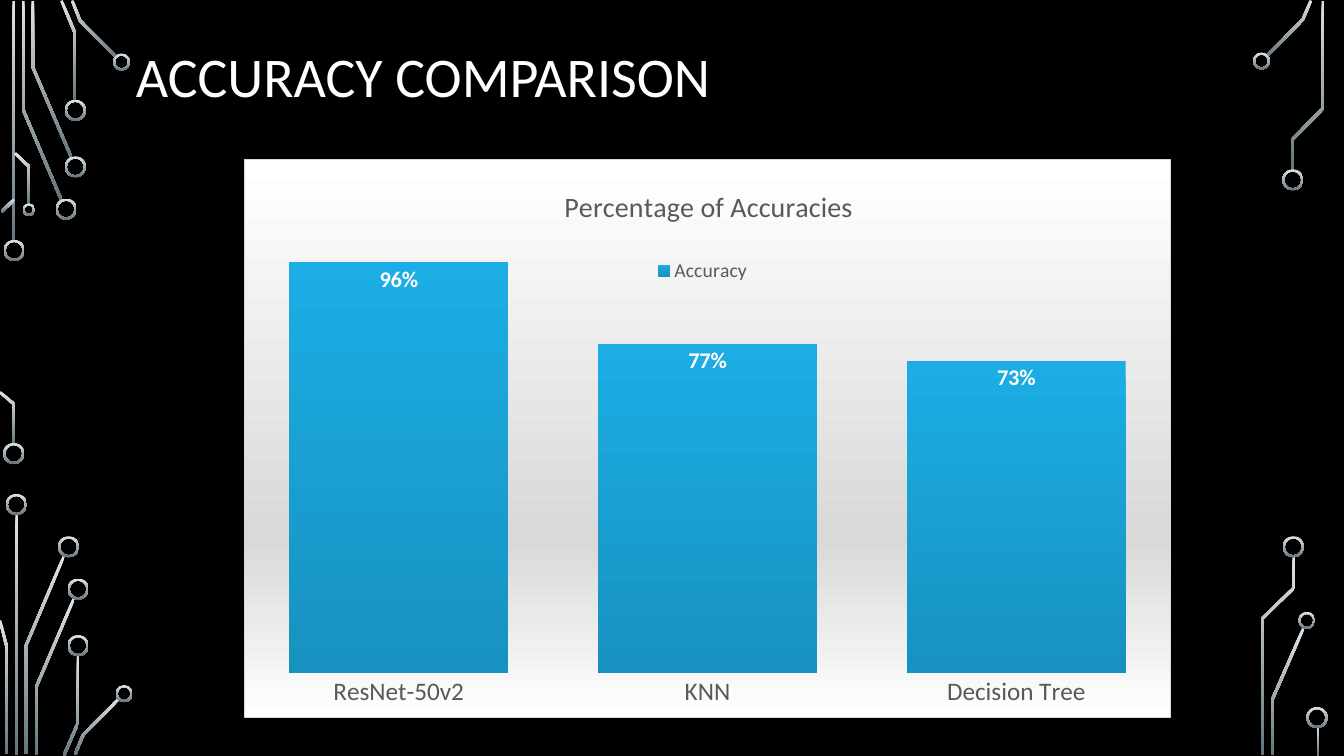
"""Build a slide comparing classifier accuracies between circuit-board ornaments."""
import math
from dataclasses import dataclass

import lxml.etree
import pptx
import pptx.chart.chart
import pptx.chart.data
import pptx.dml.color
import pptx.dml.fill
import pptx.enum.chart
import pptx.enum.shapes
import pptx.enum.text
import pptx.oxml
import pptx.oxml.ns
import pptx.shapes.autoshape
import pptx.slide
import pptx.util

COLORS = {
    "background": "000000",
    "white": "FFFFFF",
    "trace_light": "DFE3E5",
    "trace_dark": "65757D",
    "bar_top": "1CADE4",
    "bar_bottom": "1792C0",
    "chart_text": "595959",
    "chart_shade": "D9D9D9",
}
FONT = "Calibri"
TRACE_WIDTH = 1.9
RING_BAND = 1.44
Point = tuple[float, float]


@dataclass(frozen=True)
class Trace:
    bends: tuple[Point, ...]


@dataclass(frozen=True)
class Ring:
    x: float
    y: float
    diameter: float = 15.1


TRACES = (
    Trace(((9.7, 0.7), (9.7, 172.8))),
    Trace(((16.6, 0.7), (16.6, 78.5), (43.9, 142.9))),
    Trace(((23.4, 0.7), (23.4, 47.9), (51.1, 112.7))),
    Trace(((43.9, 0.4), (53.7, 23.8), (53.7, 72))),
    Trace(((51.5, 0.4), (57.2, 14.8), (83.2, 41))),
    Trace(((1.1, 151.2), (10.1, 142.6))),
    Trace(((0, 280.1), (10.1, 288.7), (10.1, 317.5))),
    Trace(((10.8, 109.4), (20.9, 119.2), (20.9, 146.2))),
    Trace(((11.9, 367.2), (11.9, 539.3))),
    Trace(((18.4, 538.6), (18.4, 461.5), (45.7, 397.1))),
    Trace(((4.7, 538.6), (4.7, 461.5), (0, 443.2))),
    Trace(((25.6, 539.3), (25.6, 491.4), (52.9, 427.3))),
    Trace(((45.7, 539.6), (55.8, 516.2), (55.8, 468))),
    Trace(((53.6, 538.9), (59.4, 524.9), (85, 499))),
    Trace(((936.4, 0.4), (930.6, 14), (905, 40))),
    Trace(((945, 0.7), (945, 77.4), (923, 99.7), (923, 121.7))),
    Trace(((909, 539.3), (909, 499.3), (931, 448.9))),
    Trace(((901.8, 539.3), (901.8, 441.7), (924.1, 420.1), (924.1, 397.4))),
    Trace(((941.4, 519.1), (941.4, 539.3))),
)
RINGS = (
    Ring(10.1, 178.9), Ring(9.8, 324), Ring(47.2, 149.4), Ring(53.8, 119.2),
    Ring(53.8, 78.8), Ring(86.8, 44.3, 12.2), Ring(20.6, 149.8, 9),
    Ring(11.7, 360.4), Ring(49, 390.6), Ring(55.8, 420.8), Ring(55.8, 461.2),
    Ring(88.7, 495.5, 12.2), Ring(901.1, 43.6, 12.2), Ring(923.4, 128.5),
    Ring(933.5, 443.2, 12.2), Ring(923.8, 390.6), Ring(940.7, 512.6),
)


def rgb(name: str) -> pptx.dml.color.RGBColor:
    """Return the named colour."""
    return pptx.dml.color.RGBColor.from_string(COLORS[name])


def shade(fill: pptx.dml.fill.FillFormat, top: str, bottom: str) -> None:
    """Fill with a gradient running downwards."""
    fill.gradient()
    fill.gradient_angle = 270
    for stop, name in zip(fill.gradient_stops, (top, bottom)):
        stop.color.rgb = rgb(name)


def style_ornament(ornament: pptx.shapes.autoshape.Shape) -> None:
    """Give an ornament its metallic look."""
    ornament.shadow.inherit = False
    ornament.line.fill.background()
    shade(ornament.fill, "trace_light", "trace_dark")


def trace_edge(bends: tuple[Point, ...]) -> list[Point]:
    """Return the mitred edge half a trace width beside the bends."""
    normals = []
    for (x1, y1), (x2, y2) in zip(bends, bends[1:]):
        length = math.hypot(x2 - x1, y2 - y1)
        normals.append(((y1 - y2) / length, (x2 - x1) / length))
    edge = []
    for (x, y), (ax, ay), (bx, by) in zip(bends, normals[:1] + normals, normals + normals[-1:]):
        reach = TRACE_WIDTH / 2 / (1 + ax * bx + ay * by)
        edge.append((x + (ax + bx) * reach, y + (ay + by) * reach))
    return edge


def draw_trace(slide: pptx.slide.Slide, trace: Trace) -> None:
    """Draw one circuit trace as a thin ribbon."""
    ribbon = trace_edge(trace.bends) + trace_edge(trace.bends[::-1])
    corners = [(pptx.util.Pt(x), pptx.util.Pt(y)) for x, y in ribbon]
    outline = slide.shapes.build_freeform(*corners[0], scale=1.0)
    outline.add_line_segments(corners[1:], close=True)
    style_ornament(outline.convert_to_shape())


def draw_ring(slide: pptx.slide.Slide, ring: Ring) -> None:
    """Draw one solder ring around its centre."""
    size = pptx.util.Pt(ring.diameter)
    donut = slide.shapes.add_shape(
        pptx.enum.shapes.MSO_SHAPE.DONUT,
        pptx.util.Pt(ring.x - ring.diameter / 2),
        pptx.util.Pt(ring.y - ring.diameter / 2), size, size)
    donut.adjustments[0] = RING_BAND / ring.diameter
    style_ornament(donut)


def style_font(font, size: float, color: str, bold: bool = False) -> None:
    """Set typeface, size, colour and weight."""
    font.name = FONT
    font.size = pptx.util.Pt(size)
    font.color.rgb = rgb(color)
    font.bold = bold


def place(part: lxml.etree._Element, index: int, inner: bool = False, **fractions: float) -> None:
    """Give a chart part a fixed place, as fractions of the chart."""
    for layout in part.findall(pptx.oxml.ns.qn("c:layout")):
        part.remove(layout)
    target = '<c:layoutTarget val="inner"/>' if inner else ""
    modes = '<c:xMode val="edge"/><c:yMode val="edge"/>'
    values = "".join(f'<c:{key} val="{value}"/>' for key, value in fractions.items())
    part.insert(index, pptx.oxml.parse_xml(
        f'<c:layout {pptx.oxml.ns.nsdecls("c")}><c:manualLayout>'
        f'{target}{modes}{values}</c:manualLayout></c:layout>'))


def paint_chart_area(chart: pptx.chart.chart.Chart) -> None:
    """Fill and frame the chart background."""
    stops = "".join(
        f'<a:gs pos="{percent * 1000}"><a:srgbClr val="{COLORS[name]}"/></a:gs>'
        for percent, name in ((0, "white"), (68, "chart_shade"), (100, "white")))
    area = pptx.oxml.parse_xml(
        f'<c:spPr {pptx.oxml.ns.nsdecls("c", "a")}><a:gradFill><a:gsLst>{stops}</a:gsLst>'
        f'<a:lin ang="5400000" scaled="0"/></a:gradFill><a:ln w="{pptx.util.Pt(0.75)}">'
        f'<a:solidFill><a:srgbClr val="{COLORS["chart_shade"]}"/></a:solidFill></a:ln></c:spPr>')
    chart._chartSpace.chart.addnext(area)


def draw_title(slide: pptx.slide.Slide) -> None:
    """Write the slide heading."""
    heading = slide.shapes.add_textbox(*map(pptx.util.Pt, (90, 27.4, 780, 58.3))).text_frame
    heading.word_wrap = True
    heading.vertical_anchor = pptx.enum.text.MSO_ANCHOR.MIDDLE
    heading.text = "ACCURACY COMPARISON"
    heading.paragraphs[0].line_spacing = 0.9
    style_font(heading.paragraphs[0].runs[0].font, 40, "white")


def draw_accuracy_chart(slide: pptx.slide.Slide) -> None:
    """Draw the column chart of accuracies."""
    accuracies = pptx.chart.data.CategoryChartData(number_format="0%")
    accuracies.categories = ["ResNet-50v2", "KNN", "Decision Tree"]
    accuracies.add_series("Accuracy", (0.96, 0.77, 0.73))
    chart = slide.shapes.add_chart(
        pptx.enum.chart.XL_CHART_TYPE.COLUMN_CLUSTERED,
        *map(pptx.util.Pt, (174.2, 113.8, 662.4, 398.9)), accuracies).chart
    style_font(chart.font, 10, "white")
    paint_chart_area(chart)

    caption = chart.chart_title
    caption.text_frame.text = "Percentage of Accuracies"
    style_font(caption.text_frame.paragraphs[0].runs[0].font, 20, "chart_text")
    place(caption._element, 1, x=0.34, y=0.04)

    chart.has_legend = True
    chart.legend.position = pptx.enum.chart.XL_LEGEND_POSITION.TOP
    chart.legend.include_in_layout = False
    style_font(chart.legend.font, 14, "chart_text")
    place(chart.legend._element, 1, x=0.44, y=0.17)
    place(chart._chartSpace.chart.plotArea, 0, inner=True, x=0, y=0, w=1, h=0.92)

    models = chart.category_axis
    models.major_tick_mark = pptx.enum.chart.XL_TICK_MARK.NONE
    models.format.line.fill.background()
    style_font(models.tick_labels.font, 18, "chart_text")
    percentages = chart.value_axis
    percentages.minimum_scale, percentages.maximum_scale = 0, 1.2
    percentages.has_major_gridlines = False
    percentages.visible = False

    plot = chart.plots[0]
    plot.gap_width = 41
    plot.vary_by_categories = False
    shade(plot.series[0].format.fill, "bar_top", "bar_bottom")
    labels = plot.series[0].data_labels
    labels.show_value = True
    labels.number_format, labels.number_format_is_linked = "0%", False
    labels.position = pptx.enum.chart.XL_LABEL_POSITION.INSIDE_END
    style_font(labels.font, 16, "white", bold=True)


def main() -> None:
    """Assemble and save the slide."""
    deck = pptx.Presentation()
    deck.slide_width, deck.slide_height = pptx.util.Pt(960), pptx.util.Pt(540)
    slide = deck.slides.add_slide(deck.slide_layouts[6])
    slide.background.fill.solid()
    slide.background.fill.fore_color.rgb = rgb("background")
    for trace in TRACES:
        draw_trace(slide, trace)
    for ring in RINGS:
        draw_ring(slide, ring)
    draw_title(slide)
    draw_accuracy_chart(slide)
    deck.save("out.pptx")


if __name__ == "__main__":
    main()
